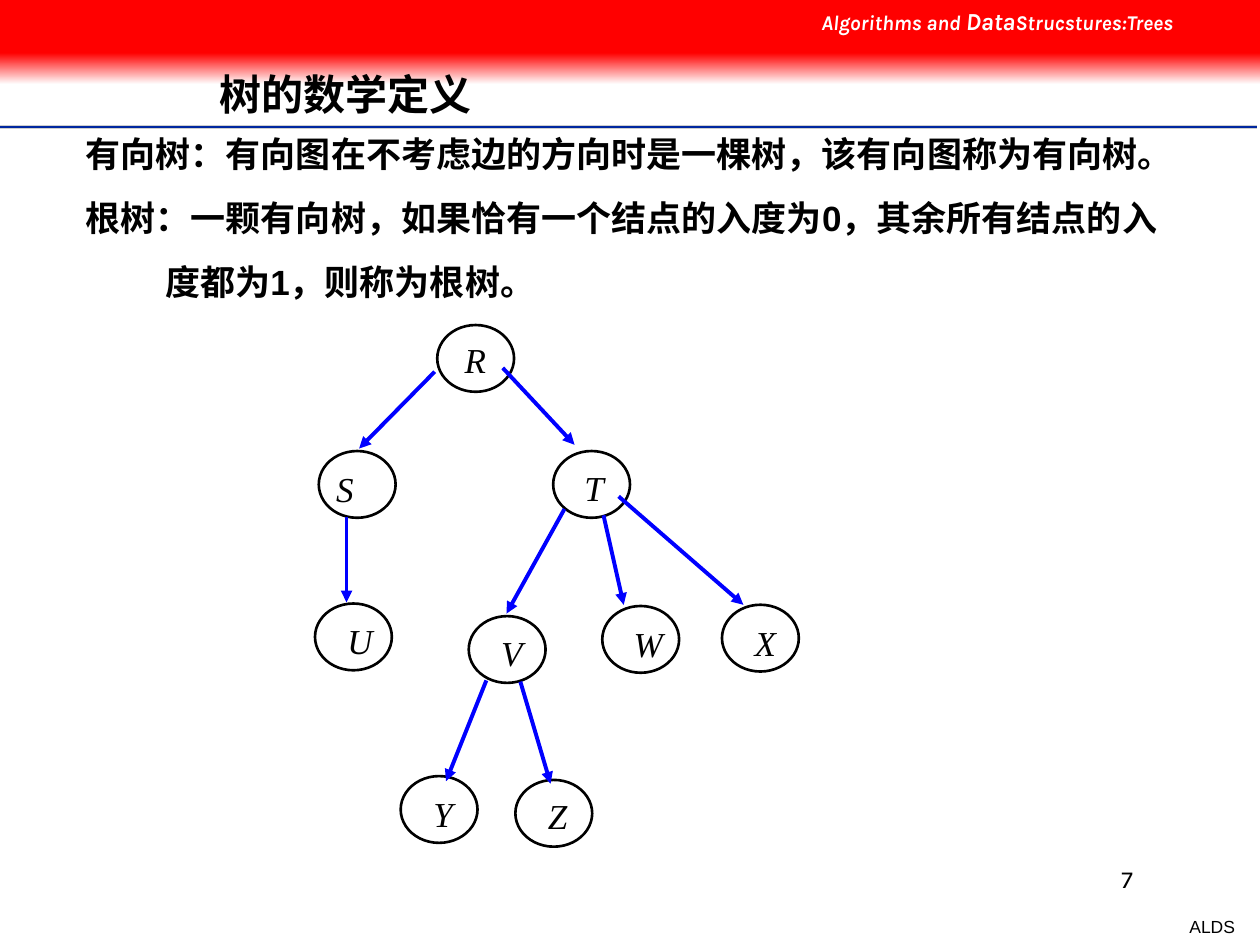
from dataclasses import dataclass

from lxml.etree import SubElement
from pptx import Presentation
from pptx.dml.color import RGBColor
from pptx.enum.shapes import MSO_CONNECTOR, MSO_SHAPE
from pptx.enum.text import MSO_ANCHOR, MSO_AUTO_SIZE, PP_ALIGN
from pptx.oxml.ns import qn
from pptx.util import Inches, Pt

COLORS = {"black": "000000", "white": "FFFFFF", "red": "FF0000",
          "blue": "0000FF", "navy": "00279F", "gray": "CECECE"}
NODE_WIDTH, NODE_HEIGHT, LABEL_HEIGHT = 0.61, 0.53, 0.44
FORMATS = {
    "title": {"name": "Arial", "size": Pt(24), "bold": True},
    "body": {"name": "Arial", "size": Pt(20), "bold": True},
    "course": {"name": "Karla", "size": Pt(12), "bold": True, "italic": True},
    "course_large": {"name": "Karla", "size": Pt(14), "bold": True, "italic": True},
    "number": {"name": "Karla", "size": Pt(14)},
    "footer": {"name": "Arial", "size": Pt(10)},
    "node": {"name": "Times New Roman", "size": Pt(20), "italic": True},
}


@dataclass
class Node:
    label: str
    left: float
    top: float
    label_left: float
    label_top: float
    label_width: float


@dataclass
class Line:
    start: tuple[float, float]
    end: tuple[float, float]
    color: str = "blue"
    width: float = 2.25
    arrow: bool = True


NODES = [
    Node("R", 3.47, 2.58, 3.59, 2.64, 0.37),
    Node("S", 2.53, 3.58, 2.57, 3.66, 0.34),
    Node("T", 4.39, 3.58, 4.54, 3.65, 0.35),
    Node("U", 2.5, 4.79, 2.66, 4.87, 0.4),
    Node("V", 3.72, 4.89, 3.88, 4.96, 0.37),
    Node("Y", 3.18, 6.16, 3.34, 6.24, 0.35),
    Node("W", 4.78, 4.81, 4.93, 4.89, 0.43),
    Node("X", 5.73, 4.8, 5.89, 4.88, 0.37),
    Node("Z", 4.09, 6.19, 4.25, 6.26, 0.35),
]
EDGES = [
    Line((3.45, 2.95), (2.85, 3.56)),
    Line((2.75, 4.1), (2.75, 4.78)),
    Line((3.99, 2.92), (4.56, 3.53)),
    Line((4.48, 4.04), (4.02, 4.87)),
    Line((4.79, 4.09), (4.95, 4.8)),
    Line((4.91, 3.94), (5.9, 4.8)),
    Line((4.13, 5.41), (4.37, 6.22)),
    Line((3.86, 5.4), (3.54, 6.2)),
]
RULES = [
    Line((0, 1.01), (9.98, 1.01), "gray", 2, False),
    Line((0, 1.01), (9.98, 1.01), "navy", 1, False),
    Line((0, 1.03), (9.98, 1.03), "white", 1, False),
]
DEFINITIONS = [
    ("有向树：有向图在不考虑边的方向时是一棵树，该有向图称为有向树。", 0),
    ("根树：一颗有向树，如果恰有一个结点的入度为0，其余所有结点的入", 0),
    ("度都为1，则称为根树。", 0.63),
]


def rgb(name: str) -> RGBColor:
    return RGBColor.from_string(COLORS[name])


def add_span(para, text: str, style: str, color: str = "black") -> None:
    span = para.add_run()
    span.text = text
    for attribute, value in FORMATS[style].items():
        setattr(span.font, attribute, value)
    span.font.color.rgb = rgb(color)


def add_box(page, left: float, top: float, width: float, height: float,
            spans: list[tuple[str, str]], color: str = "black", wrap: bool = True,
            align=PP_ALIGN.LEFT, before: float = 0) -> None:
    box = page.shapes.add_textbox(Inches(left), Inches(top), Inches(width), Inches(height))
    box.text_frame.word_wrap = wrap
    para = box.text_frame.paragraphs[0]
    para.alignment = align
    para.space_before = Pt(before)
    for text, style in spans:
        add_span(para, text, style, color)


def add_shape(page, kind, left: float, top: float, width: float, height: float):
    shape = page.shapes.add_shape(kind, Inches(left), Inches(top), Inches(width), Inches(height))
    shape.shadow.inherit = False
    return shape


def add_line(page, line: Line) -> None:
    connector = page.shapes.add_connector(
        MSO_CONNECTOR.STRAIGHT, *map(Inches, line.start + line.end))
    connector.line.color.rgb = rgb(line.color)
    connector.line.width = Pt(line.width)
    if line.arrow:
        SubElement(connector.line._get_or_add_ln(), qn("a:tailEnd"), type="triangle")
    SubElement(connector.element.spPr, qn("a:effectLst"))


def add_header(page) -> None:
    fade = add_shape(page, MSO_SHAPE.RECTANGLE, 0, 0.42, 10, 0.25)
    fade.fill.gradient()
    fade.fill.gradient_angle = 270
    for stop, color in zip(fade.fill.gradient_stops, ("red", "white")):
        stop.color.rgb = rgb(color)
    band = add_shape(page, MSO_SHAPE.RECTANGLE, 0, 0, 10, 0.42)
    band.fill.solid()
    band.fill.fore_color.rgb = rgb("red")
    for shape in (fade, band):
        shape.line.fill.background()
    add_box(page, 6.42, 0, 3.58, 0.34,
            [("Algorithms and ", "course"), ("Data", "course_large"),
             ("Strucstures:Trees", "course")], "white", before=7.5)


def place_placeholder(box, left: float, top: float, width: float, height: float,
                      anchor, margins: tuple[float, float]) -> None:
    box.left, box.top, box.width, box.height = map(Inches, (left, top, width, height))
    frame = box.text_frame
    frame.word_wrap = True
    frame.auto_size = MSO_AUTO_SIZE.NONE
    frame.vertical_anchor = anchor
    frame.margin_left = frame.margin_right = Inches(margins[0])
    frame.margin_top = frame.margin_bottom = Inches(margins[1])
    box.element.getparent().append(box.element)


def fill_placeholders(page) -> None:
    title, body = page.placeholders
    place_placeholder(title, 1.74, 0.4, 7.83, 0.74, MSO_ANCHOR.MIDDLE, (0, 0))
    para = title.text_frame.paragraphs[0]
    para.alignment = PP_ALIGN.LEFT
    para.line_spacing = 0.9
    add_span(para, "树的数学定义", "title")

    place_placeholder(body, 0.58, 1, 8.92, 1.45, MSO_ANCHOR.TOP, (0.1, 0.05))
    for index, (text, indent) in enumerate(DEFINITIONS):
        frame = body.text_frame
        para = frame.add_paragraph() if index else frame.paragraphs[0]
        para.space_before = Pt(12.5)
        properties = para._p.get_or_add_pPr()
        properties.set("marL", str(Inches(indent)))
        properties.set("indent", "0")
        SubElement(properties, qn("a:buNone"))
        add_span(para, text, "body")


def add_node(page, node: Node) -> None:
    circle = add_shape(page, MSO_SHAPE.OVAL, node.left, node.top, NODE_WIDTH, NODE_HEIGHT)
    circle.fill.background()
    circle.line.color.rgb = rgb("black")
    circle.line.width = Pt(1.5)
    add_box(page, node.label_left, node.label_top, node.label_width, LABEL_HEIGHT,
            [(node.label, "node")], wrap=False)


def main() -> None:
    deck = Presentation()
    deck.slide_width, deck.slide_height = Inches(10), Inches(7.5)
    page = deck.slides.add_slide(deck.slide_layouts[1])
    for rule in RULES:
        add_line(page, rule)
    add_box(page, 9.34, 7.22, 0.56, 0.27, [("ALDS", "footer")],
            wrap=False, align=PP_ALIGN.RIGHT, before=6.2)
    add_box(page, 7.17, 6.81, 1.92, 0.5, [("7", "number")], align=PP_ALIGN.RIGHT)
    add_header(page)
    fill_placeholders(page)
    for node in NODES:
        add_node(page, node)
    for edge in EDGES:
        add_line(page, edge)
    deck.save("out.pptx")


if __name__ == "__main__":
    main()
